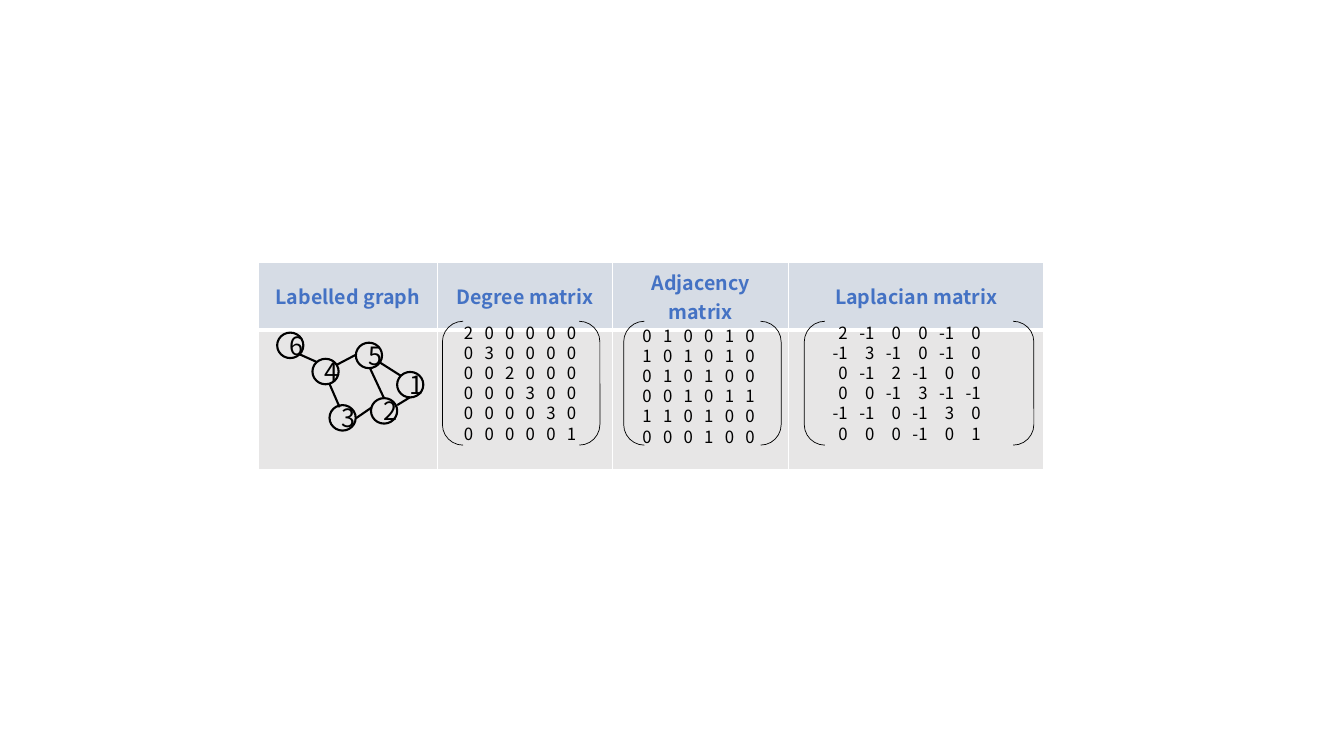
from dataclasses import dataclass

from lxml.etree import SubElement
from pptx import Presentation
from pptx.dml.color import RGBColor
from pptx.enum.shapes import MSO_CONNECTOR as Connector, MSO_SHAPE as Preset
from pptx.enum.text import MSO_ANCHOR as Anchor, MSO_AUTO_SIZE as AutoSize, PP_ALIGN as Align
from pptx.oxml import parse_xml
from pptx.oxml.ns import nsdecls, qn
from pptx.slide import Slide
from pptx.util import Pt

Grid = list[list[int]]


@dataclass(frozen=True)
class Theme:
    """Colours, font and type sizes of the slide, in points."""
    font: str = "Noto Sans CJK SC"
    ink: RGBColor = RGBColor(0, 0, 0)
    heading: RGBColor = RGBColor(0x44, 0x72, 0xC4)
    header_fill: RGBColor = RGBColor(0xD6, 0xDC, 0xE5)
    body_fill: RGBColor = RGBColor(0xE7, 0xE6, 0xE6)
    rule: str = "FFFFFF"
    heading_size: float = 14
    entry_size: float = 12
    entry_leading: float = 14.4
    label_size: float = 18
    graph_line: float = 1.5
    bracket_line: float = 0.5


@dataclass(frozen=True)
class Node:
    """A numbered vertex and the top left corner of its circle."""
    label: int
    left: float
    top: float


@dataclass(frozen=True)
class Edge:
    """Two joined vertices and the end points of the line between them."""
    first: int
    second: int
    start: tuple[float, float]
    end: tuple[float, float]


@dataclass(frozen=True)
class Matrix:
    """Entries, bracket extent, text box and right-aligned column stops."""
    entries: Grid
    bracket_left: float
    bracket_width: float
    text_left: float
    text_top: float
    text_width: float
    first_stop: float
    pitch: float


THEME = Theme()
HEADINGS = ["Labelled graph", "Degree matrix", "Adjacency matrix", "Laplacian matrix"]
COLUMN_WIDTHS = [128, 125, 126, 182]
ROW_HEIGHTS = [33, 100]
TABLE_LEFT, TABLE_TOP = 184.5, 187.5
BRACKET_TOP, BRACKET_HEIGHT = 229.5, 88.5
TEXT_HEIGHT = 94
NODE_WIDTH, NODE_HEIGHT = 18.7, 18.2

NODES = [
    Node(6, 198, 237.6), Node(4, 223.2, 256.3), Node(5, 254.2, 244.8),
    Node(1, 283.7, 265.7), Node(3, 235.4, 289.4), Node(2, 265, 284.4),
]
EDGES = [
    Edge(6, 4, (213.1, 252.7), (226.1, 258.5)),
    Edge(5, 1, (270.7, 258.5), (286.6, 268.6)),
    Edge(3, 2, (254.2, 298.8), (265.7, 290.9)),
    Edge(4, 5, (240.5, 260.6), (254.2, 253.4)),
    Edge(3, 4, (242.6, 290.9), (235.4, 274.3)),
    Edge(2, 5, (274.3, 284.4), (264.2, 262.8)),
    Edge(1, 2, (293, 283.7), (283.7, 289.4)),
]


def graph_matrices() -> tuple[Grid, Grid, Grid]:
    """Derive the degree, adjacency and Laplacian matrices from the edges."""
    labels = range(1, len(NODES) + 1)
    joined = {pair for edge in EDGES
              for pair in ((edge.first, edge.second), (edge.second, edge.first))}
    adjacency = [[int((i, j) in joined) for j in labels] for i in labels]
    degree = [[sum(adjacency[i - 1]) if i == j else 0 for j in labels] for i in labels]
    laplacian = [[d - a for d, a in zip(*rows)] for rows in zip(degree, adjacency)]
    return degree, adjacency, laplacian


def add_borders(cell, bottom: float, top: float) -> None:
    """Give a table cell white rules on its four sides."""
    properties = cell._tc.get_or_add_tcPr()
    sides = {"lnL": 1, "lnR": 1, "lnT": top, "lnB": bottom}
    for position, (side, width) in enumerate(sides.items()):
        properties.insert(position, parse_xml(
            f'<a:{side} {nsdecls("a")} w="{Pt(width)}"><a:solidFill>'
            f'<a:srgbClr val="{THEME.rule}"/></a:solidFill></a:{side}>'))


def style_text(paragraph, size: float, color: RGBColor) -> None:
    """Set the typeface, size and colour of a paragraph."""
    paragraph.font.name = THEME.font
    paragraph.font.size = Pt(size)
    paragraph.font.color.rgb = color


def add_overview(slide: Slide) -> None:
    """Draw the table that carries the headings and the panels."""
    table = slide.shapes.add_table(
        len(ROW_HEIGHTS), len(HEADINGS), Pt(TABLE_LEFT), Pt(TABLE_TOP),
        Pt(sum(COLUMN_WIDTHS)), Pt(sum(ROW_HEIGHTS))).table
    table.first_row = table.horz_banding = False
    for row, height in zip(table.rows, ROW_HEIGHTS):
        row.height = Pt(height)
    for index, (heading, width) in enumerate(zip(HEADINGS, COLUMN_WIDTHS)):
        table.columns[index].width = Pt(width)
        header, panel = table.cell(0, index), table.cell(1, index)
        for cell, fill in ((header, THEME.header_fill), (panel, THEME.body_fill)):
            cell.fill.solid()
            cell.fill.fore_color.rgb = fill
        add_borders(header, bottom=3, top=1)
        add_borders(panel, bottom=1, top=3)
        header.text = heading
        header.vertical_anchor = Anchor.MIDDLE
        paragraph = header.text_frame.paragraphs[0]
        paragraph.alignment = Align.CENTER
        paragraph.font.bold = True
        style_text(paragraph, THEME.heading_size, THEME.heading)


def add_outline(slide: Slide, preset: Preset, left: float, top: float,
                width: float, height: float, line: float):
    """Draw an unfilled preset shape with a black outline."""
    outline = slide.shapes.add_shape(preset, Pt(left), Pt(top), Pt(width), Pt(height))
    outline.shadow.inherit = False
    outline.fill.background()
    outline.line.color.rgb = THEME.ink
    outline.line.width = Pt(line)
    return outline


def add_matrix(slide: Slide, matrix: Matrix) -> None:
    """Draw a bracketed matrix, its columns aligned on tab stops."""
    add_outline(slide, Preset.DOUBLE_BRACKET, matrix.bracket_left, BRACKET_TOP,
                matrix.bracket_width, BRACKET_HEIGHT, THEME.bracket_line)
    frame = slide.shapes.add_textbox(
        Pt(matrix.text_left), Pt(matrix.text_top),
        Pt(matrix.text_width), Pt(TEXT_HEIGHT)).text_frame
    frame.word_wrap = True
    frame.auto_size = AutoSize.SHAPE_TO_FIT_TEXT
    frame.text = "\n".join("".join(f"\t{entry}" for entry in row) for row in matrix.entries)
    for paragraph in frame.paragraphs:
        paragraph.line_spacing = Pt(THEME.entry_leading)
        stops = SubElement(paragraph._p.get_or_add_pPr(), qn("a:tabLst"))
        for column in range(len(matrix.entries)):
            stop = Pt(matrix.first_stop + column * matrix.pitch)
            SubElement(stops, qn("a:tab"), pos=str(int(stop)), algn="r")
        style_text(paragraph, THEME.entry_size, THEME.ink)


def add_node(slide: Slide, node: Node) -> None:
    """Draw a numbered vertex."""
    circle = add_outline(slide, Preset.OVAL, node.left, node.top,
                         NODE_WIDTH, NODE_HEIGHT, THEME.graph_line)
    circle.text_frame.text = str(node.label)
    paragraph = circle.text_frame.paragraphs[0]
    paragraph.alignment = Align.CENTER
    style_text(paragraph, THEME.label_size, THEME.ink)


def add_edge(slide: Slide, edge: Edge) -> None:
    """Draw the line between two vertices."""
    link = slide.shapes.add_connector(
        Connector.STRAIGHT, *(Pt(value) for value in edge.start + edge.end))
    link.line.color.rgb = THEME.ink
    link.line.width = Pt(THEME.graph_line)
    SubElement(link._element.spPr, qn("a:effectLst"))


def main() -> None:
    """Build and save the slide."""
    deck = Presentation()
    deck.slide_width, deck.slide_height = Pt(960), Pt(540)
    slide = deck.slides.add_slide(deck.slide_layouts[6])
    degree, adjacency, laplacian = graph_matrices()
    add_overview(slide)
    for matrix in (
        Matrix(degree, 316, 112.5, 324, 226.8, 123, 7, 14.7),
        Matrix(adjacency, 445.5, 112.5, 451.5, 229, 123, 7, 14.7),
        Matrix(laplacian, 574.5, 164, 587.5, 226.8, 142, 11, 19),
    ):
        add_matrix(slide, matrix)
    for node in NODES:
        add_node(slide, node)
    for edge in EDGES:
        add_edge(slide, edge)
    deck.save("out.pptx")


main()
